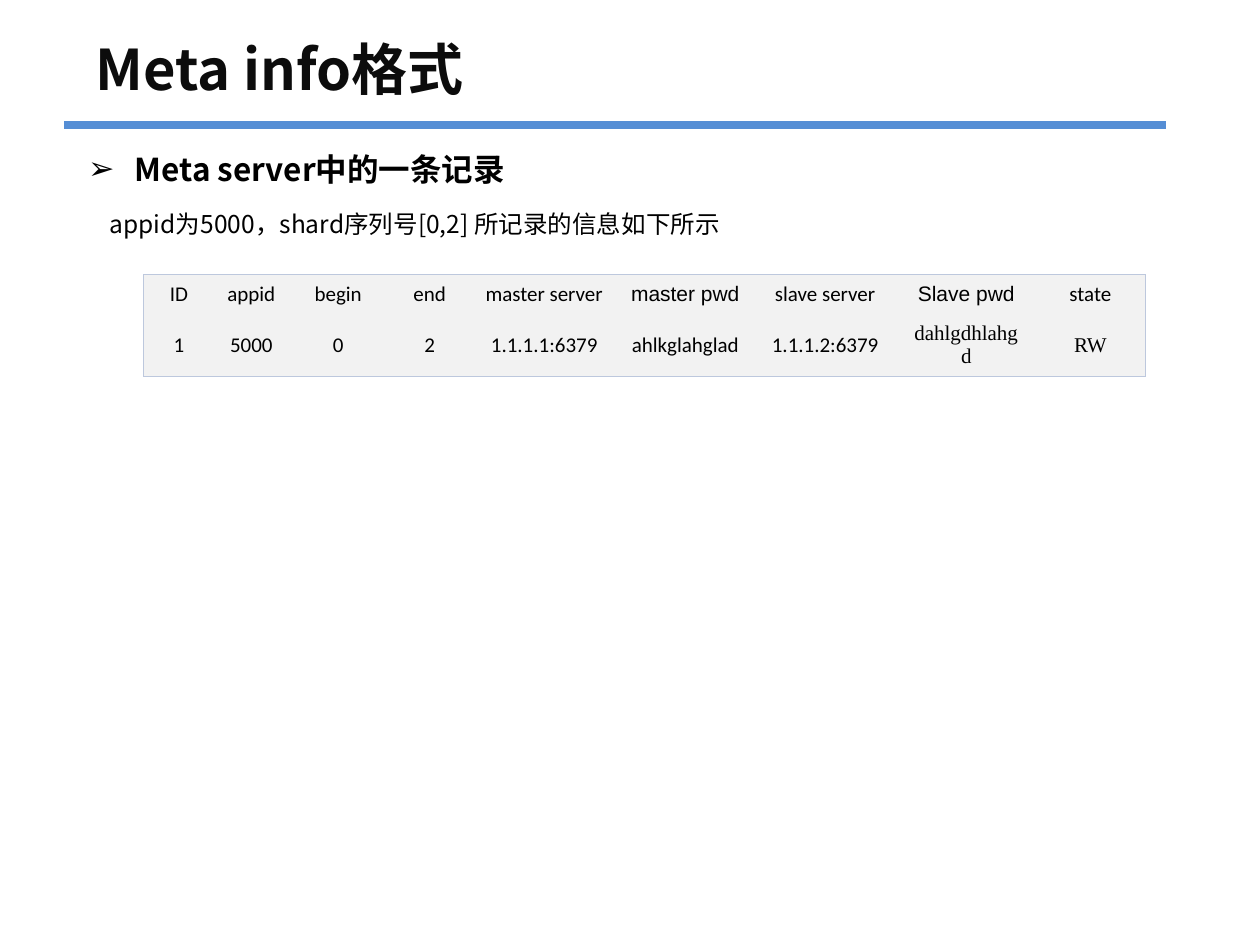
from lxml.etree import SubElement
from pptx import Presentation
from pptx.dml.color import RGBColor
from pptx.enum.shapes import MSO_CONNECTOR as Connector
from pptx.enum.text import MSO_ANCHOR as Anchor, MSO_AUTO_SIZE as AutoSize, PP_ALIGN as Align
from pptx.oxml import parse_xml
from pptx.oxml.ns import nsdecls, qn
from pptx.util import Inches, Pt

NO_TABLE_STYLE = "{2D5ABB26-0587-4C30-8999-92F81FD0307C}"


def color(value):
    return RGBColor.from_string(value)


def write(paragraph, text, font="Calibri", size=12, fill="000000", bold=False,
          align=Align.LEFT, line_spacing=1.0, before=0, margin=0, indent=0, bullet=None):
    paragraph.alignment = align
    paragraph.line_spacing = line_spacing
    paragraph.space_before = Pt(before)
    properties = paragraph._p.get_or_add_pPr()
    properties.set("marL", str(Inches(margin)))
    properties.set("indent", str(Inches(indent)))
    if bullet:
        SubElement(properties, qn("a:buFont")).set("typeface", "Arial")
        SubElement(properties, qn("a:buChar")).set("char", bullet)
    else:
        SubElement(properties, qn("a:buNone"))
    run = paragraph.add_run()
    run.text = text
    run.font.name = font
    run.font.size = Pt(size)
    run.font.bold = bold
    run.font.color.rgb = color(fill)
    SubElement(run._r.get_or_add_rPr(), qn("a:ea")).set("typeface", font)


class SlideBuilder:
    heading_font = "Noto Sans CJK SC"
    accent = "558ED5"
    cell_fill = "F2F2F2"
    border = "BDC8DD"

    def __init__(self, slide):
        self.slide = slide

    def place(self, shape, box, anchor):
        shape.left, shape.top, shape.width, shape.height = map(Inches, box)
        frame = shape.text_frame
        frame.word_wrap = True
        frame.auto_size = AutoSize.NONE
        frame.vertical_anchor = anchor
        return frame

    def title(self, text, box):
        frame = self.place(self.slide.shapes.title, box, Anchor.MIDDLE)
        write(frame.paragraphs[0], text, font=self.heading_font, size=32,
              fill="0C0C0C", bold=True, line_spacing=0.9)

    def body(self, items, box):
        frame = self.place(self.slide.placeholders[1], box, Anchor.TOP)
        for index, (text, style) in enumerate(items):
            paragraph = frame.add_paragraph() if index else frame.paragraphs[0]
            write(paragraph, text, font=self.heading_font, line_spacing=1.5,
                  before=3.9, **style)

    def rule(self, left, right, top):
        line = self.slide.shapes.add_connector(
            Connector.STRAIGHT, Inches(left), Inches(top), Inches(right), Inches(top))
        line.line.color.rgb = color(self.accent)
        line.line.width = Pt(4.5)
        SubElement(line._element.spPr, qn("a:effectLst"))

    def cell_borders(self, cell, edges):
        properties = cell._tc.get_or_add_tcPr()
        for position, edge in enumerate(edges):
            properties.insert(position, parse_xml(
                f'<a:ln{edge} {nsdecls("a")} w="9525"><a:solidFill>'
                f'<a:srgbClr val="{self.border}"/></a:solidFill></a:ln{edge}>'))

    def table(self, rows, fonts, widths, heights, left, top):
        table = self.slide.shapes.add_table(
            len(rows), len(widths), Inches(left), Inches(top),
            Inches(sum(widths)), Inches(sum(heights))).table
        table.first_row = table.horz_banding = False
        table._tbl.tblPr.find(qn("a:tableStyleId")).text = NO_TABLE_STYLE
        for column, width in zip(table.columns, widths):
            column.width = Inches(width)
        for row, height in zip(table.rows, heights):
            row.height = Inches(height)
        for row_index, row in enumerate(rows):
            for column_index, text in enumerate(row):
                cell = table.cell(row_index, column_index)
                cell.vertical_anchor = Anchor.MIDDLE
                cell.fill.solid()
                cell.fill.fore_color.rgb = color(self.cell_fill)
                write(cell.text_frame.paragraphs[0], text, align=Align.CENTER,
                      font=fonts.get((row_index, column_index), "Calibri"))
                outer = {"L": column_index == 0, "R": column_index == len(row) - 1,
                         "T": row_index == 0, "B": row_index == len(rows) - 1}
                self.cell_borders(cell, [edge for edge, shown in outer.items() if shown])


presentation = Presentation()
presentation.slide_width = Inches(10)
presentation.slide_height = Inches(7.5)
builder = SlideBuilder(presentation.slides.add_slide(presentation.slide_layouts[1]))

builder.title("Meta info格式", (0.66, 0.28, 5.44, 0.59))
builder.body([
    ("Meta server中的一条记录",
     dict(size=18, bold=True, margin=0.37, indent=-0.37, bullet="➢")),
    ("appid为5000\uff0cshard序列号[0,2] 所记录的信息如下所示",
     dict(size=14, margin=0.17)),
], (0.6, 0.99, 9.13, 1.02))
builder.table(
    [["ID", "appid", "begin", "end", "master server", "master pwd",
      "slave server", "Slave pwd", "state"],
     ["1", "5000", "0", "2", "1.1.1.1:6379", "ahlkglahglad",
      "1.1.1.2:6379", "dahlgdhlahgd", "RW"]],
    fonts={(0, 5): "Arial", (0, 7): "Arial",
           (1, 7): "Times New Roman", (1, 8): "Times New Roman"},
    widths=[0.56, 0.59, 0.79, 0.66, 1.16, 1.08, 1.14, 1.1, 0.87],
    heights=[0.31, 0.5], left=1.14, top=2.18)
builder.rule(0.51, 9.25, 0.99)

presentation.save("out.pptx")
